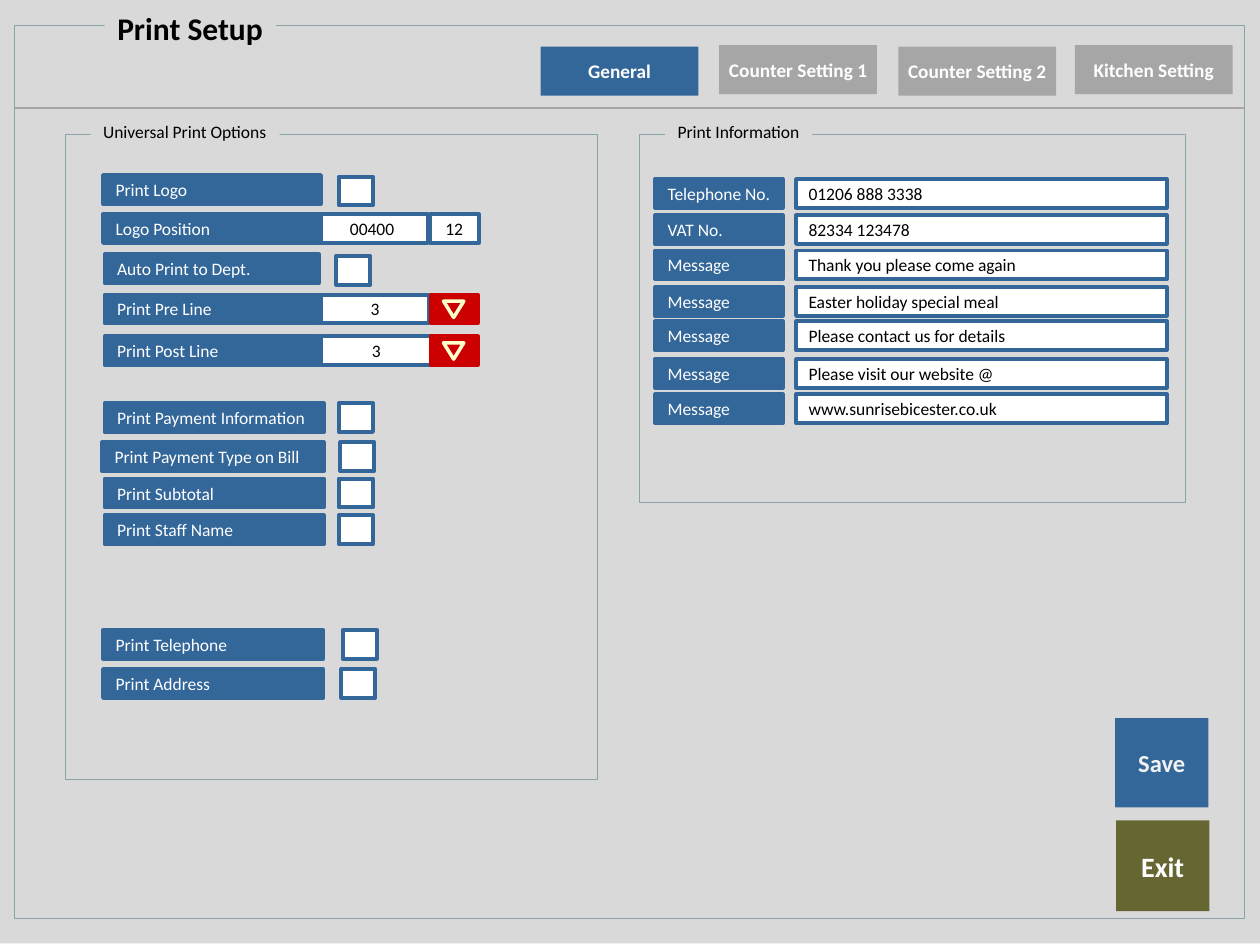
from pptx import Presentation
from pptx.dml.color import RGBColor
from pptx.enum.shapes import MSO_CONNECTOR, MSO_SHAPE
from pptx.enum.text import MSO_ANCHOR, MSO_AUTO_SIZE, PP_ALIGN
from pptx.oxml.ns import qn
from pptx.util import Cm, Pt
from lxml.etree import SubElement

GREY, BLUE, WHITE, BLACK = "D9D9D9", "336699", "FFFFFF", "000000"
TAB_GREY, FRAME, RED, OLIVE = "A6A6A6", "89A4A7", "CC0000", "666633"
MID, TOP = MSO_ANCHOR.MIDDLE, MSO_ANCHOR.TOP
LEFT, CENTER = PP_ALIGN.LEFT, PP_ALIGN.CENTER
ROW_H = 0.58


def rgb(value):
    return RGBColor.from_string(value)


def box(shapes, x, y, w, h, fill=None, line=None, width=2.25, text="", color=WHITE,
        size=10, bold=False, align=LEFT, anchor=MID, kind=MSO_SHAPE.RECTANGLE, sp=None):
    """Draw one shape, or format the placeholder sp, with its text."""
    if sp is None:
        sp = shapes.add_shape(kind, Cm(x), Cm(y), Cm(w), Cm(h))
        sp.shadow.inherit = False
    else:
        sp.left, sp.top, sp.width, sp.height = Cm(x), Cm(y), Cm(w), Cm(h)
    if fill:
        sp.fill.solid()
        sp.fill.fore_color.rgb = rgb(fill)
    else:
        sp.fill.background()
    if line:
        sp.line.color.rgb = rgb(line)
        sp.line.width = Pt(width)
    else:
        sp.line.fill.background()
    if text:
        tf = sp.text_frame
        tf.text = text
        # Headings sit at the top and grow with their text
        grow = MSO_AUTO_SIZE.SHAPE_TO_FIT_TEXT if anchor == TOP else MSO_AUTO_SIZE.NONE
        frame_format = {"word_wrap": False, "auto_size": grow, "vertical_anchor": anchor}
        for name, value in frame_format.items():
            setattr(tf, name, value)
        p = tf.paragraphs[0]
        p.alignment = align
        r = p.runs[0]
        for name, value in {"name": "Calibri", "size": Pt(size), "bold": bold}.items():
            setattr(r.font, name, value)
        r.font.color.rgb = rgb(color)
    return sp


prs = Presentation()
prs.slide_width, prs.slide_height = Cm(25.4), Cm(19.05)
s = prs.slides.add_slide(prs.slide_layouts[5])
shapes = s.shapes

# Window background and frame
box(shapes, 0, -0.03, 25.4, 19.05, GREY)
box(shapes, 0.3, 0.51, 24.79, 18.01, None, FRAME, 0.5)

# Title, brought in front of the frame
title = box(shapes, 2.11, 0.05, 3.45, 1.02, GREY, text="Print Setup", color=BLACK,
            size=18, bold=True, anchor=TOP, sp=shapes.title)
title.element.getparent().append(title.element)

# Header rule
rule = shapes.add_connector(MSO_CONNECTOR.STRAIGHT, Cm(0.3), Cm(2.18), Cm(25.1), Cm(2.18))
rule.line.color.rgb = rgb(TAB_GREY)
rule.line.width = Pt(0.75)
SubElement(rule.element.spPr, qn("a:effectLst"))

# Tabs
for text, x, y, fill in [("General", 10.9, 0.94, BLUE),
                         ("Counter Setting 1", 14.5, 0.91, TAB_GREY),
                         ("Counter Setting 2", 18.11, 0.94, TAB_GREY),
                         ("Kitchen Setting", 21.67, 0.91, TAB_GREY)]:
    box(shapes, x, y, 3.18, 0.99, fill, text=text, size=11, bold=True, align=CENTER)

# Group frames with headings
for text, x, w, h, heading_w in [("Universal Print Options", 1.32, 10.72, 13, 3.81),
                                 ("Print Information", 12.9, 11, 7.42, 2.97)]:
    box(shapes, x, 2.72, w, h, None, FRAME, 0.5)
    box(shapes, x + 0.51, 2.31, heading_w, 0.69, GREY, text=text, color=BLACK, anchor=TOP)

# Options with a check box: label, left, top, width, check box left and top
for text, x, y, w, check_x, check_y in [
        ("Print Logo", 2.08, 3.53, 4.39, 6.83, 3.56),
        ("Auto Print to Dept.", 2.11, 5.13, 4.32, 6.78, 5.16),
        ("Print Payment Information", 2.11, 8.13, 4.42, 6.83, 8.13),
        ("Print Payment Type on Bill", 2.06, 8.92, 4.47, 6.86, 8.92),
        ("Print Subtotal", 2.11, 9.65, 4.42, 6.83, 9.65),
        ("Print Staff Name", 2.11, 10.39, 4.42, 6.83, 10.39),
        ("Print Telephone", 2.08, 12.7, 4.44, 6.91, 12.7),
        ("Print Address", 2.08, 13.49, 4.44, 6.88, 13.49)]:
    box(shapes, check_x, check_y, 0.69, ROW_H, WHITE, BLUE)
    box(shapes, x, y, w, ROW_H, BLUE, BLUE, text=text)

# Options with a value: label, left, top, width, value, value left and width
for text, x, y, w, value, value_x, value_w in [
        ("Logo Position", 2.08, 4.32, 4.39, "00400", 6.38, 2.24),
        ("Print Pre Line", 2.11, 5.94, 4.32, "3", 6.48, 2.16),
        ("Print Post Line", 2.11, 6.78, 4.32, "3", 6.48, 2.21)]:
    box(shapes, value_x, y, value_w, ROW_H, WHITE, BLUE, text=value, color=BLACK, align=CENTER)
    box(shapes, x, y, w, ROW_H, BLUE, BLUE, text=text)
box(shapes, 8.66, 4.32, 0.99, ROW_H, WHITE, BLUE, text="12", color=BLACK, align=CENTER)

# Drop-down buttons
for y in (5.94, 6.78):
    button = shapes.add_group_shape().shapes
    box(button, 8.69, y, 0.94, ROW_H, RED, RED)
    arrow = box(button, 8.94, y + 0.13, 0.41, 0.33, RED, "FFFFCC", 2,
                kind=MSO_SHAPE.ISOSCELES_TRIANGLE)
    arrow.rotation = 180

# Print information fields
for text, value, y in [("Telephone No.", "01206 888 3338", 3.61),
                       ("VAT No.", "82334 123478", 4.34),
                       ("Message", "Thank you please come again", 5.05),
                       ("Message", "Easter holiday special meal", 5.79),
                       ("Message", "Please contact us for details", 6.48),
                       ("Message", "Please visit our website @", 7.24),
                       ("Message", "www.sunrisebicester.co.uk", 7.95)]:
    box(shapes, 16.05, y, 7.47, ROW_H, WHITE, BLUE, text=value, color=BLACK)
    box(shapes, 13.21, y, 2.57, ROW_H, BLUE, BLUE, text=text)

# Save and exit buttons
box(shapes, 22.48, 14.48, 1.88, 1.8, BLUE, text="Save", color="F2F2F2",
    size=14, bold=True, align=CENTER)
box(shapes, 22.5, 16.54, 1.88, 1.83, OLIVE, text="Exit", size=16, bold=True, align=CENTER)

prs.save("out.pptx")
